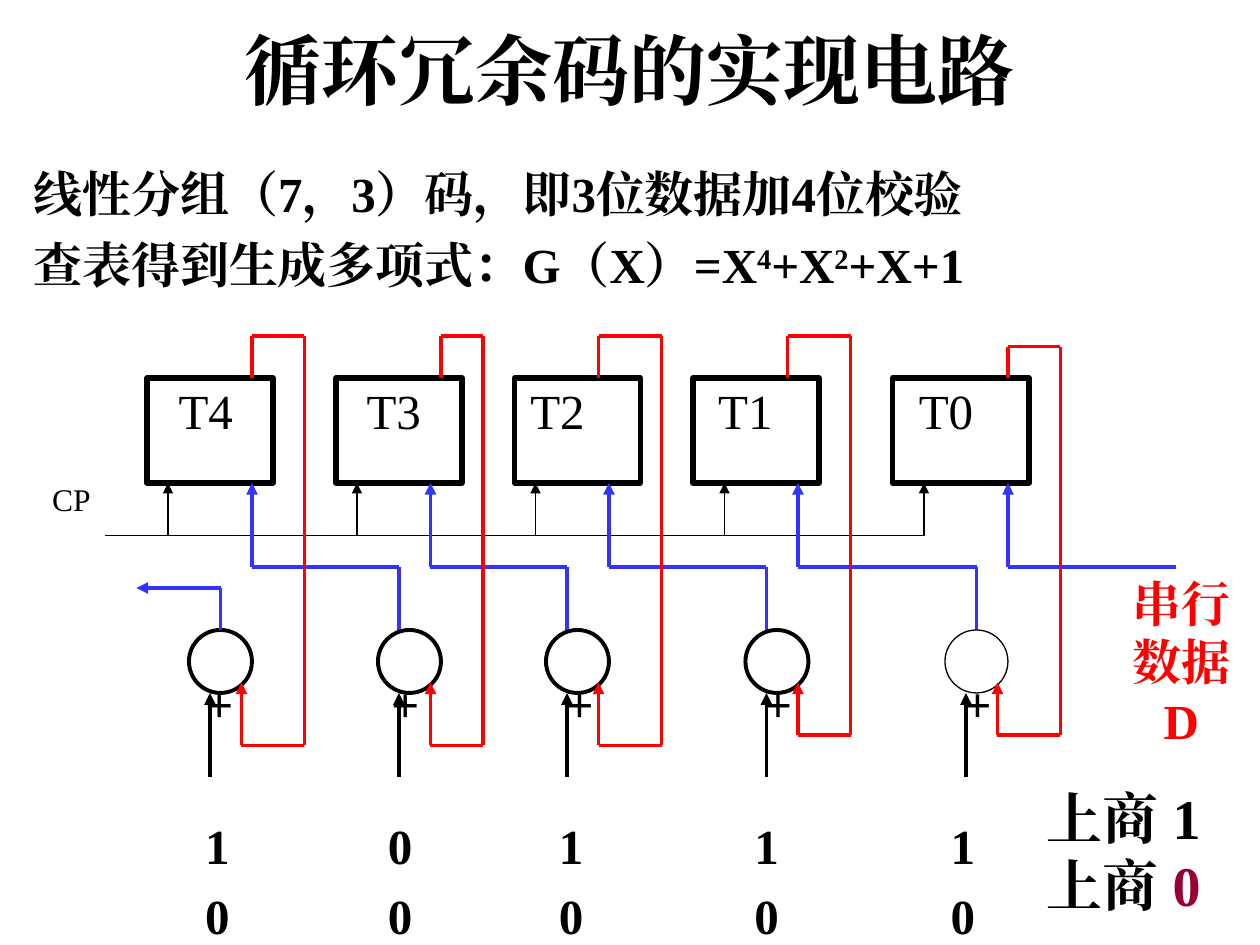
from itertools import pairwise

from lxml import etree
from pptx import Presentation
from pptx.dml.color import RGBColor
from pptx.enum.shapes import MSO_CONNECTOR, MSO_SHAPE
from pptx.enum.text import MSO_ANCHOR, PP_ALIGN
from pptx.oxml.ns import qn
from pptx.util import Inches, Pt

STRAIGHT = MSO_CONNECTOR.STRAIGHT
RECTANGLE, OVAL = MSO_SHAPE.RECTANGLE, MSO_SHAPE.OVAL
TOP, MIDDLE = MSO_ANCHOR.TOP, MSO_ANCHOR.MIDDLE
LEFT, CENTER = PP_ALIGN.LEFT, PP_ALIGN.CENTER

FONT = "Times New Roman"
BLACK, RED, BLUE, MAROON = "000000", "FF0000", "3333FF", "990033"
GRID = 12
THIN, WIRE, FRAME = 0.75, 2.25, 3

TITLE = "循环冗余码的实现电路"
INTRO = [
    [("线性分组（7，3）码，即3位数据加4位校验", {})],
    [
        ("查表得到生成多项式：G（X）=X", {}),
        ("4", {"raised": 30}),
        ("+X", {}),
        ("2", {"raised": 30}),
        ("+X+1", {}),
    ],
]
SERIAL_DATA = [[("串行数据D", {})]]
QUOTIENTS = [[("上商 1", {})], [("上商 ", {}), ("0", {"color": MAROON})]]

STAGE_KEYS = (
    "name", "box", "box_width", "label", "clock", "data_in", "feedback", "loop_right",
    "loop_top", "loop_bottom", "adder", "adder_line", "adder_out", "adder_in",
    "loop_end", "plus", "digit", "digits",
)
STAGES = [dict(zip(STAGE_KEYS, row)) for row in [
    ("T4", 14, 12, 19.6, 16, 24, 24, 29, 32, 71, 18, WIRE, 21, 20, 23, 20.9, 20.7, "10"),
    ("T3", 32, 12, 37.5, 34, 41, 42, 46, 32, 71, 36, WIRE, 38, 38, 41, 38.6, 38.1, "00"),
    ("T2", 49, 12, 53.1, 51, 58, 57, 63, 32, 71, 52, WIRE, 54, 54, 57, 55.2, 54.4, "10"),
    ("T1", 66, 12, 71, 69, 76, 75, 81, 32, 70, 71, WIRE, 73, 73, 76, 74.1, 73, "10"),
    ("T0", 85, 13, 90.1, 88, 96, 96, 101, 33, 70, 90, THIN, 93, 92, 95, 93.1, 91.7, "10"),
]]
BOX_TOP, BOX_BOTTOM, CLOCK_BUS, DATA_BUS, OUTPUT = 36, 46, 51, 54, 56
ADDER_TOP, ADDER_SIZE, LOOP_TIP, INPUT_START = 60, 6, 65, 74
LABEL_ROW, PLUS_ROW, DIGIT_ROWS = 39, 66.9, (80.5, 87.1)
LABEL_WIDTH, LABEL_HEIGHT = 6, 6


def grid(*values):
    return [Inches(value / GRID) for value in values]


def rgb(code):
    return RGBColor.from_string(code)


def write(frame, paragraphs, size=28, bold=True, color=BLACK, align=LEFT,
          anchor=TOP, inset=(0.1, 0.05), gap=0):
    frame.word_wrap = True
    frame.vertical_anchor = anchor
    frame.margin_left = frame.margin_right = Inches(inset[0])
    frame.margin_top = frame.margin_bottom = Inches(inset[1])
    for index, runs in enumerate(paragraphs):
        paragraph = frame.add_paragraph() if index else frame.paragraphs[0]
        paragraph.alignment = align
        paragraph.space_before = Pt(gap if index else 0)
        for words, style in runs:
            run = paragraph.add_run()
            run.text = words
            run.font.size, run.font.bold, run.font.name = Pt(size), bold, FONT
            run.font.color.rgb = rgb(style.get("color", color))
            properties = run._r.get_or_add_rPr()
            etree.SubElement(properties, qn("a:ea"), typeface=FONT)
            if "raised" in style:
                properties.set("baseline", str(style["raised"] * 1000))


def text(area, paragraphs, **style):
    write(slide.shapes.add_textbox(*grid(*area)).text_frame, paragraphs, **style)


def label(words, column, row, **style):
    area = (column - LABEL_WIDTH / 2, row - LABEL_HEIGHT / 2, LABEL_WIDTH, LABEL_HEIGHT)
    text(area, [[(words, {})]], align=CENTER, anchor=MIDDLE, inset=(0, 0), **style)


def outline(kind, area, width):
    part = slide.shapes.add_shape(kind, *grid(*area))
    part.shadow.inherit = False
    part.fill.background()
    part.line.color.rgb = rgb(BLACK)
    part.line.width = Pt(width)


def wire(points, color=BLACK, width=WIRE, arrow=False):
    for start, end in pairwise(points):
        segment = slide.shapes.add_connector(STRAIGHT, *grid(*start, *end))
        segment.line.color.rgb = rgb(color)
        segment.line.width = Pt(width)
        etree.SubElement(segment._element.spPr, qn("a:effectLst"))
        if arrow and end == points[-1]:
            etree.SubElement(segment.line._get_or_add_ln(), qn("a:tailEnd"), type="triangle")


deck = Presentation()
deck.slide_width, deck.slide_height = Inches(10), Inches(7.5)
slide = deck.slides.add_slide(deck.slide_layouts[5])

title = slide.shapes.title
title.left, title.top, title.width, title.height = grid(9, 2, 102, 9)
write(title.text_frame, [[(TITLE, {})]], size=44, align=CENTER, anchor=MIDDLE)

text((2, 15, 118, 14), INTRO, gap=7)
label("CP", 6.8, 47.5, size=18, bold=False)

wire([(10, CLOCK_BUS), (STAGES[-1]["clock"], CLOCK_BUS)], width=THIN)
sources = [(stage["adder_out"], ADDER_TOP) for stage in STAGES[1:]] + [(112, DATA_BUS)]
for stage, source in zip(STAGES, sources):
    outline(RECTANGLE, (stage["box"], BOX_TOP, stage["box_width"], BOX_BOTTOM - BOX_TOP), FRAME)
    outline(OVAL, (stage["adder"], ADDER_TOP, ADDER_SIZE, ADDER_SIZE), stage["adder_line"])
    label(stage["name"], stage["label"], LABEL_ROW, bold=False)
    label("+", stage["plus"], PLUS_ROW)
    for digit, row in zip(stage["digits"], DIGIT_ROWS):
        label(digit, stage["digit"], row)

    wire([(stage["clock"], CLOCK_BUS), (stage["clock"], BOX_BOTTOM)], width=THIN, arrow=True)
    route = [(source[0], DATA_BUS), (stage["data_in"], DATA_BUS), (stage["data_in"], BOX_BOTTOM)]
    if source != route[0]:
        route.insert(0, source)
    wire(route, BLUE, arrow=True)
    wire([(stage["adder_in"], INPUT_START), (stage["adder_in"], ADDER_TOP + ADDER_SIZE)], arrow=True)
    wire([
        (stage["feedback"], BOX_TOP),
        (stage["feedback"], stage["loop_top"]),
        (stage["loop_right"], stage["loop_top"]),
        (stage["loop_right"], stage["loop_bottom"]),
        (stage["loop_end"], stage["loop_bottom"]),
        (stage["loop_end"], LOOP_TIP),
    ], RED, arrow=True)

first_out = STAGES[0]["adder_out"]
wire([(first_out, ADDER_TOP), (first_out, OUTPUT), (13, OUTPUT)], BLUE, arrow=True)

text((105, 54, 15, 18), SERIAL_DATA, color=RED, align=CENTER)
text((96, 74, 22, 14), QUOTIENTS, size=32, align=CENTER)

deck.save("out.pptx")
